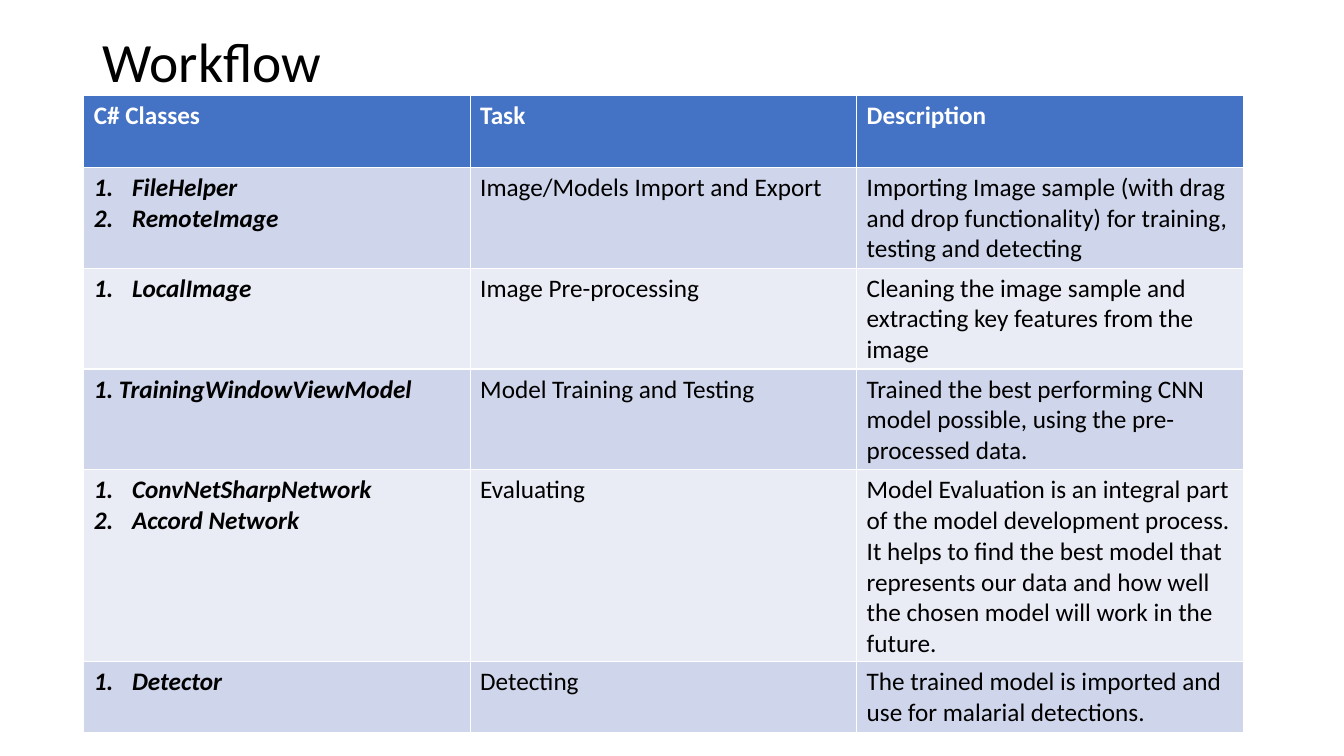
from lxml import etree
from pptx import Presentation, util as u
from pptx.dml.color import RGBColor
from pptx.enum import text
from pptx.oxml.ns import qn

FONT = "Calibri"
COLORS = {
    "ink": "000000",
    "head": "4472C4",
    "white": "FFFFFF",
    "odd": "CFD5EA",
    "even": "E9EBF5",
}
HEADS = ["C# Classes", "Task", "Description"]
STEPS = [
    (["FileHelper", "RemoteImage"], "Image/Models Import and Export",
     "Importing Image sample (with drag and drop functionality) for training, "
     "testing and detecting"),
    (["LocalImage"], "Image Pre-processing",
     "Cleaning the image sample and extracting key features from the image"),
    ("1. TrainingWindowViewModel", "Model Training and Testing",
     "Trained the best performing CNN model possible, using the pre-processed data."),
    (["ConvNetSharpNetwork", "Accord Network"], "Evaluating",
     "Model Evaluation is an integral part of the model development process. "
     "It helps to find the best model that represents our data and how well "
     "the chosen model will work in the future."),
    (["Detector"], "Detecting",
     "The trained model is imported and use for malarial detections."),
]


def style(para, size, color, bold=False, italic=False):
    for run in para.runs:
        font = run.font
        font.name, font.size = FONT, u.Pt(size)
        font.bold, font.italic = bold, italic
        font.color.rgb = RGBColor.from_string(COLORS[color])


def number(para):
    props = para._p.get_or_add_pPr()
    indent = u.Inches(0.38)
    props.set("marL", str(indent))
    props.set("indent", str(-indent))
    etree.SubElement(props, qn("a:buFont"), typeface="+mj-lt")
    etree.SubElement(props, qn("a:buAutoNum"), type="arabicPeriod")


def fill_cell(cell, words, fill, color, bold, italic):
    listed = isinstance(words, list)
    cell.text_frame.text = "\n".join(words) if listed else words
    cell.fill.solid()
    cell.fill.fore_color.rgb = RGBColor.from_string(COLORS[fill])
    for para in cell.text_frame.paragraphs:
        if listed:
            number(para)
        style(para, 18, color, bold, italic)


def add_title(slide, left, top, width, height):
    box = slide.shapes.add_textbox(*map(u.Inches, (left, top, width, height)))
    frame = box.text_frame
    frame.word_wrap = True
    frame.vertical_anchor = text.MSO_ANCHOR.MIDDLE
    frame.text = "Workflow"
    para = frame.paragraphs[0]
    para.line_spacing = 0.9
    style(para, 39.6, "ink")


def add_steps(slide, left, top, width, height):
    box = map(u.Inches, (left, top, width, height))
    table = slide.shapes.add_table(len(STEPS) + 1, len(HEADS), *box).table
    for col, head in enumerate(HEADS):
        fill_cell(table.cell(0, col), head, "head", "white", True, False)
    for row, step in enumerate(STEPS, 1):
        fill = "odd" if row % 2 else "even"
        for col, words in enumerate(step):
            first = col == 0
            fill_cell(table.cell(row, col), words, fill, "ink", first, first)


def main():
    deck = Presentation()
    deck.slide_width, deck.slide_height = u.Inches(13.33), u.Inches(7.5)
    slide = deck.slides.add_slide(deck.slide_layouts[6])
    add_title(slide, 0.92, 0.36, 11.5, 0.57)
    add_steps(slide, 0.83, 0.95, 11.5, 4.26)
    deck.save("out.pptx")


if __name__ == "__main__":
    main()
